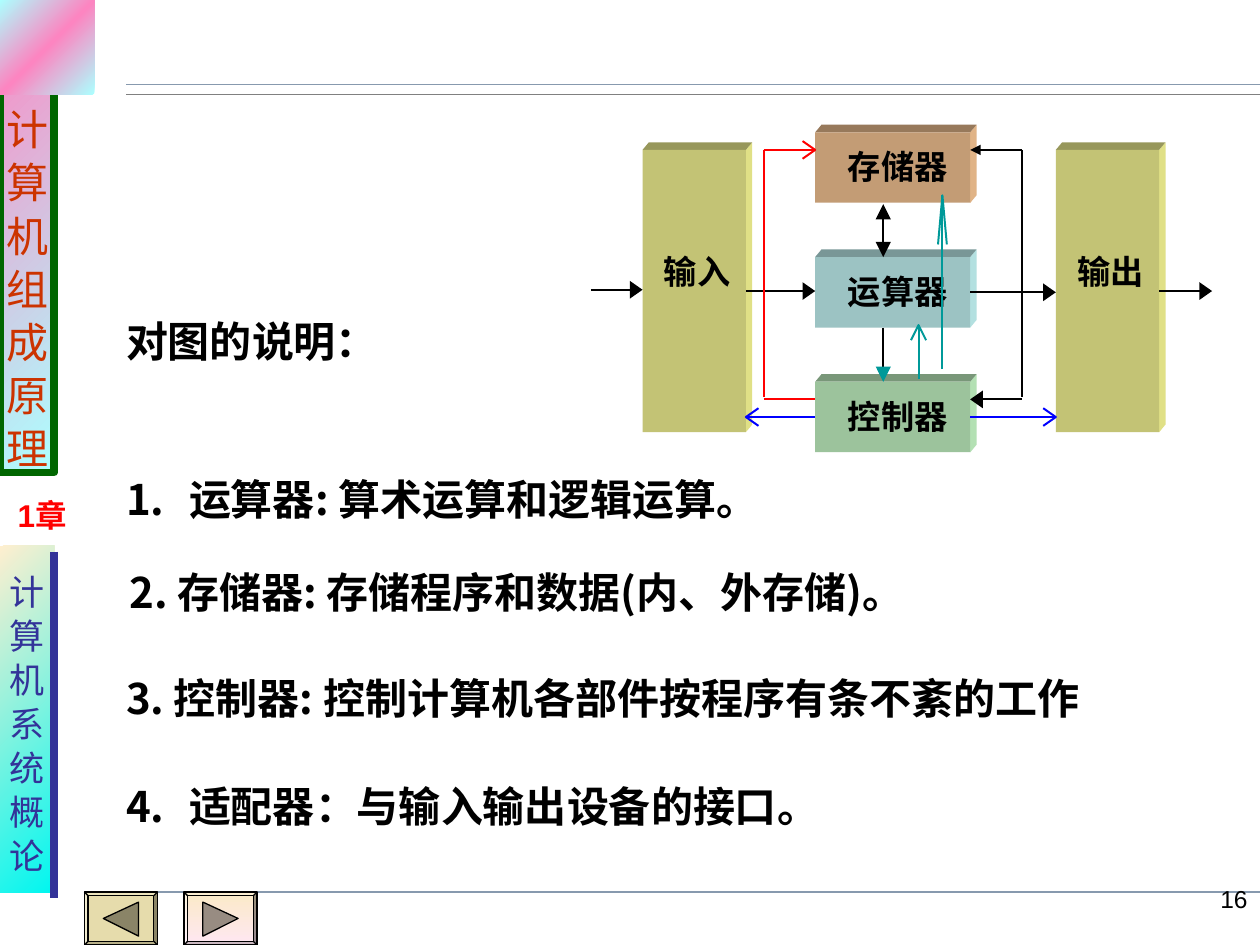
import pptx
import pptx.dml.color
import pptx.enum.shapes
import pptx.enum.text
import pptx.oxml
import pptx.oxml.ns
import pptx.util
from lxml import etree

Inches, Pt = pptx.util.Inches, pptx.util.Pt
SHAPE = pptx.enum.shapes.MSO_SHAPE
ALIGN = pptx.enum.text.PP_ALIGN
ANCHOR = pptx.enum.text.MSO_ANCHOR
qn = pptx.oxml.ns.qn
CJK = "Noto Sans CJK SC"
BLACK, RED, BLUE, TEAL = "000000", "FF0000", "0000FF", "009999"


def rgb(value):
    return pptx.dml.color.RGBColor.from_string(value)


def sub(parent, tag, **attrs):
    return etree.SubElement(parent, qn(tag), **attrs)


class SlideBuilder:
    def __init__(self, slide):
        self.s = slide

    def paint(self, sp, fill=None, line=None, width=0.75):
        """fill is a colour, or a pair (list of (position, colour), clockwise angle)."""
        sp.shadow.inherit = False
        if fill is None:
            sp.fill.background()
        elif isinstance(fill, str):
            sp.fill.solid()
            sp.fill.fore_color.rgb = rgb(fill)
        else:
            stops, angle = fill
            sp.fill.gradient()
            sp.fill.gradient_angle = 360 - angle
            stop_list = sp._element.spPr.find(qn("a:gradFill")).find(qn("a:gsLst"))
            for old in list(stop_list):
                stop_list.remove(old)
            for pos, color in stops:
                gs = sub(stop_list, "a:gs", pos=str(pos * 1000))
                sub(gs, "a:srgbClr", val=color)
        if line:
            sp.line.color.rgb = rgb(line)
            sp.line.width = Pt(width)
        else:
            sp.line.fill.background()
        return sp

    def shape(self, kind, x, y, w, h, fill, line=None, width=0.75):
        sp = self.s.shapes.add_shape(kind, Inches(x), Inches(y), Inches(w), Inches(h))
        return self.paint(sp, fill, line, width)

    def polygon(self, points, fill=None, line=None, width=0.75):
        pts = [(Inches(x), Inches(y)) for x, y in points]
        builder = self.s.shapes.build_freeform(*pts[0], scale=1.0)
        builder.add_line_segments(pts[1:], close=fill is not None)
        return self.paint(builder.convert_to_shape(), fill, line, width)

    def line(self, x1, y1, x2, y2, color=BLACK, width=1.13, head=False, join=None):
        c = self.s.shapes.add_connector(
            pptx.enum.shapes.MSO_CONNECTOR.STRAIGHT,
            Inches(x1), Inches(y1), Inches(x2), Inches(y2))
        c.line.color.rgb = rgb(color)
        c.line.width = Pt(width)
        if head:
            sub(c.line._get_or_add_ln(), "a:headEnd", type="triangle")
        sub(c._element.spPr, "a:effectLst")
        if join is not None:
            c.begin_connect(join, 3)

    def head(self, start, tip, color, size, solid):
        """Arrowhead at tip, pointing away from start."""
        length, width = size
        dx, dy = tip[0] - start[0], tip[1] - start[1]
        dist = (dx * dx + dy * dy) ** 0.5
        dx, dy = dx / dist, dy / dist
        bx, by = tip[0] - dx * length, tip[1] - dy * length
        ox, oy = -dy * width / 2, dx * width / 2
        points = [(bx + ox, by + oy), tip, (bx - ox, by - oy)]
        if solid:
            self.polygon(points, fill=color)
        else:
            self.polygon(points, line=color, width=1.13)

    def arrow(self, start, tip, color=BLACK, size=(0.1, 0.14), solid=True,
              head_color=None, join=None):
        x, y = tip
        if solid:  # the line stops inside the filled head
            x -= 0.07 * ((x > start[0]) - (x < start[0]))
            y -= 0.07 * ((y > start[1]) - (y < start[1]))
        self.line(*start, x, y, color, join=join)
        self.head(start, tip, head_color or color, size, solid)

    def add_text(self, p, text, size, color=BLACK, font=CJK, bold=True, align=ALIGN.LEFT,
                 pitch=1.32, before=0):
        p.alignment = align
        p.space_before = Pt(before)
        p.line_spacing = Pt(round(size * pitch, 1))
        r = p.add_run()
        r.text = text
        f = r.font
        f.size, f.bold, f.name = Pt(size), bold, font
        f.color.rgb = rgb(color)
        sub(r._r.get_or_add_rPr(), "a:ea", typeface=CJK)

    def text(self, x, y, w, h, text, size, margins=(0.1, 0.05), wrap=True, **style):
        sp = self.s.shapes.add_textbox(Inches(x), Inches(y), Inches(w), Inches(h))
        tf = sp.text_frame
        tf.word_wrap = wrap
        tf.margin_left = tf.margin_right = Inches(margins[0])
        tf.margin_top = tf.margin_bottom = Inches(margins[1])
        self.add_text(tf.paragraphs[0], text, size, **style)

    def vertical(self, sp, text, size, color, before, bottom):
        """One character per paragraph, stacked up from the bottom."""
        tf = sp.text_frame
        tf.word_wrap = False
        tf.vertical_anchor = ANCHOR.BOTTOM
        tf.margin_bottom = Inches(bottom)
        for i, char in enumerate(text):
            p = tf.add_paragraph() if i else tf.paragraphs[0]
            self.add_text(p, char, size, color, "Arial", False, ALIGN.CENTER, 1.2,
                          before if i else 0)

    def placeholder(self, index, x, y, w, h):
        sp = self.s.placeholders[index]
        sp.left, sp.top, sp.width, sp.height = (Inches(v) for v in (x, y, w, h))
        tf = sp.text_frame
        tf.word_wrap = True
        tf.auto_size = pptx.enum.text.MSO_AUTO_SIZE.NONE
        tf.vertical_anchor = ANCHOR.TOP
        return tf

    def number(self, p, margin, hanging, start):
        pPr = p._p.get_or_add_pPr()
        pPr.set("marL", str(Inches(margin)))
        pPr.set("indent", str(-Inches(hanging)))
        if start:
            sub(sub(pPr, "a:buClr"), "a:srgbClr", val=BLACK)
            sub(pPr, "a:buFont", typeface=CJK)
            sub(pPr, "a:buAutoNum", type="arabicPeriod", startAt=str(start))
        else:
            sub(pPr, "a:buNone")

    def block(self, x, y, w, h, label, label_at, label_w, front, top, side):
        """Box with a bevelled top and right side; returns its front face."""
        dx, dy, r, b = 0.05, 0.06, x + w, y + h
        self.polygon([(r, b), (r, y), (r + dx, y - dy), (r + dx, b - dy)], side)
        self.polygon([(r, y), (x, y), (x + dx, y - dy), (r + dx, y - dy)], top)
        sp = self.shape(SHAPE.RECTANGLE, x, y, w, h, front)
        self.text(x + label_at[0], y + label_at[1], label_w, 0.32, label, 19,
                  margins=(0, 0), wrap=False)
        return sp

    def button(self, x, fill, icon, forward):
        sp = self.shape(SHAPE.BEVEL, x, 7.08, 0.58, 0.42, fill, BLACK)
        sp.adjustments[0] = 0.07
        base, tip = (x + 0.15, x + 0.43) if forward else (x + 0.43, x + 0.15)
        self.polygon([(base, 7.16), (tip, 7.29), (base, 7.43)], icon, BLACK)


def main():
    prs = pptx.Presentation()
    prs.slide_width, prs.slide_height = Inches(10), Inches(7.5)
    b = SlideBuilder(prs.slides.add_slide(prs.slide_layouts[1]))

    # Rules and side panels
    for x, y, color in [(1, 0.67, "8799AE"), (1, 0.75, "808080"), (0.67, 7.08, "8799AE")]:
        b.line(x, y, 10, y, color, 0.75)
    pink, cyan = "FD85C1", "ADFFFF"
    course = b.shape(SHAPE.RECTANGLE, 0, 0, 0.43, 3.75,
                     ([(0, pink), (100, cyan)], 45), "006600", 4.5)
    b.vertical(course, "计算机组成原理", 24, "CC3300", 1.5, 0)
    chapter = b.shape(SHAPE.RECTANGLE, 0, 4.33, 0.43, 2.75,
                      ([(0, "FFEFCF"), (100, "00F6F0")], 45))
    b.vertical(chapter, "计算机系统概论", 20, "333399", 1.2, 0.12)
    b.button(0.67, "E6DCAC", "8A8467", False)
    b.button(1.46, ([(0, "FBEAC7"), (100, "FEE7F2")], 90), "988C82", True)
    b.shape(SHAPE.RECTANGLE, 0, 0, 0.75, 0.75, ([(0, cyan), (50, pink), (100, cyan)], 45))
    b.text(0, 3.86, 0.67, 0.4, "1章", 18, color=RED, font="Arial", align=ALIGN.CENTER)
    b.line(0.43, 4.38, 0.43, 7.13, "333399", 4.5)
    b.text(9, 6.98, 1, 0.52, "16", 14, font="Arial", bold=False, align=ALIGN.RIGHT, pitch=1.15)

    # Title and list
    tf = b.placeholder(0, 0.9, 2.41, 2.91, 0.5)
    b.add_text(tf.paragraphs[0], "对图的说明：", 24, font="Times New Roman")
    tf = b.placeholder(1, 0.9, 3.67, 8.66, 2.94)
    items = [  # text, left margin, hanging indent, automatic number, space before
        ("运算器: 算术运算和逻辑运算。", 0.5, 0.5, 1, 0),
        ("2. 存储器: 存储程序和数据(内、外存储)。", 0.53, 0.5, None, 21.4),
        ("3. 控制器: 控制计算机各部件按程序有条不紊的工作", 0, 0, None, 28.9),
        ("适配器：与输入输出设备的接口。", 0.5, 0.5, 4, 30),
    ]
    for i, (text, margin, hanging, start, before) in enumerate(items):
        p = tf.add_paragraph() if i else tf.paragraphs[0]
        b.number(p, margin, hanging, start)
        b.add_text(p, text, 24, before=before)

    # Diagram blocks
    units = [("存储器", "C39C75", "97795B", "E0B386"),
             ("运算器", "9CC3C3", "799797", "B3E0E0"),
             ("控制器", "9CC39C", "799779", "B3E0B3")]
    memory, alu, control = [
        b.block(6.47, 1.05 + 0.99 * i, 1.23, 0.56, label, (0.26, 0.08), 0.79, *colors)
        for i, (label, *colors) in enumerate(units)]
    source, sink = [
        b.block(x, 1.19, 0.82, 2.24, label, (0.17, 0.77), 0.53, "C3C375", "97975B", "E0E086")
        for x, label in [(5.1, "输入"), (8.38, "输出")]]

    # Data flow
    b.arrow((4.69, 2.3), (5.1, 2.3))
    b.arrow((5.92, 2.31), (6.47, 2.31), join=source)
    b.arrow((7.7, 2.32), (8.38, 2.32), join=alu)
    b.arrow((9.2, 2.31), (9.62, 2.31), join=sink)
    small = (0.12, 0.12)
    b.arrow((7.01, 1.7), (7.01, 2.04), size=small)
    b.head((7.01, 2.04), (7.01, 1.62), BLACK, small, True)
    b.arrow((7.01, 2.6), (7.01, 3.03), size=small, head_color=TEAL)

    # Memory to control
    b.line(7.7, 1.19, 8.11, 1.19, head=True)
    b.line(8.11, 1.19, 8.11, 3.15)
    b.arrow((8.11, 3.17), (7.7, 3.17))

    # Control signals
    b.line(6.06, 3.17, 6.47, 3.17, RED)
    b.line(6.06, 1.19, 6.06, 3.15, RED)
    b.arrow((6.06, 1.19), (6.47, 1.19), RED, solid=False)
    b.arrow((6.47, 3.31), (5.92, 3.31), BLUE, solid=False)
    b.arrow((7.7, 3.31), (8.38, 3.31), BLUE, solid=False)
    b.arrow((7.29, 3.01), (7.29, 2.58), TEAL, small, solid=False)
    b.arrow((7.48, 2.93), (7.48, 1.55), TEAL, (0.39, 0.07), solid=False)

    prs.save("out.pptx")


if __name__ == "__main__":
    main()
